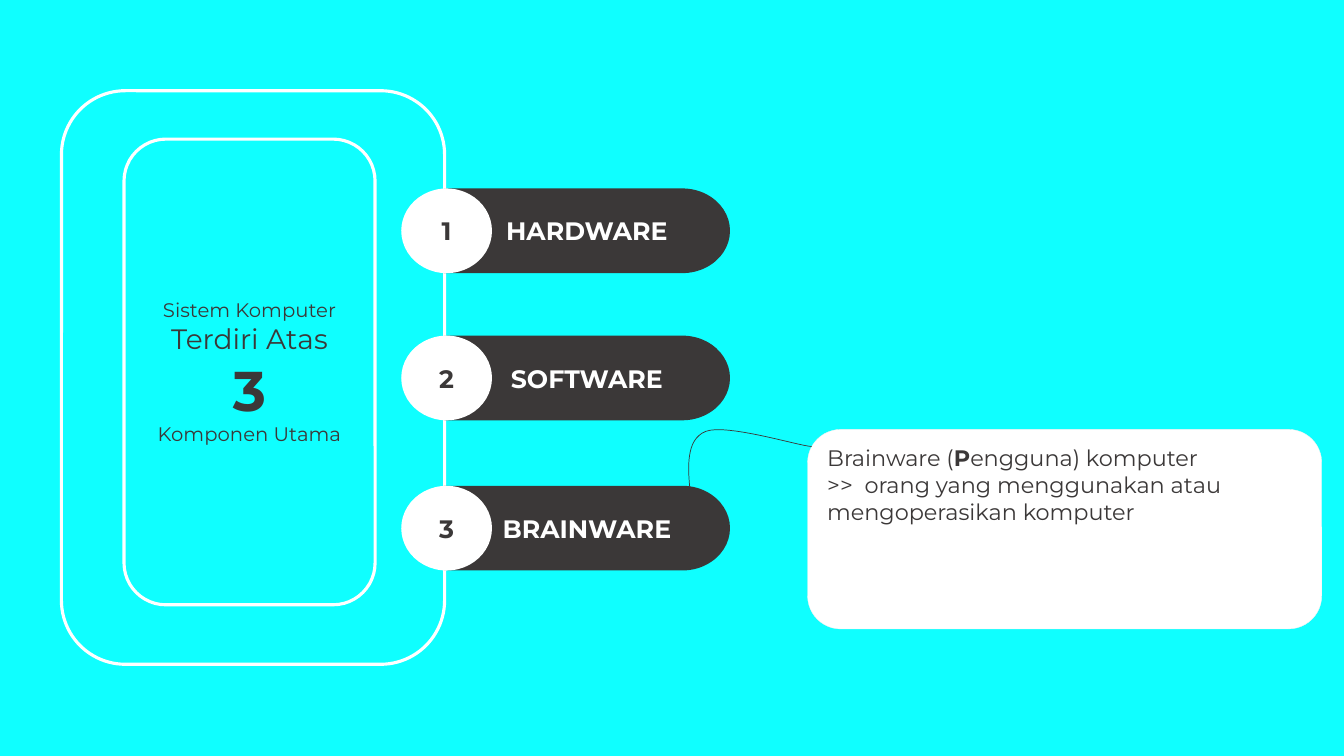
from pptx import Presentation
from pptx.dml.color import RGBColor
from pptx.enum.shapes import MSO_SHAPE as Preset
from pptx.enum.text import MSO_ANCHOR as Anchor, PP_ALIGN as Align
from pptx.util import Inches, Pt

COLORS = {
    "cyan": "0FFFFF",
    "dark": "3B3838",
    "white": "FFFFFF",
    "pale": "F2F2F2",
}


def rgb(name):
    """Return the named colour."""
    return RGBColor.from_string(COLORS[name])


class SlideBuilder:
    """Hold the style and the current slide."""

    font_name = "Montserrat"

    def __init__(self, slide):
        """Take a slide and colour its background."""
        self.slide = slide
        slide.background.fill.solid()
        slide.background.fill.fore_color.rgb = rgb("cyan")

    def set_line(self, shape, color=None, width=0):
        """Colour the outline, or remove it."""
        if color:
            shape.line.color.rgb = rgb(color)
            shape.line.width = Pt(width)
        else:
            shape.line.fill.background()

    def add_shape(self, preset, box, fill, line=None, width=0):
        """Add a filled preset shape."""
        shape = self.slide.shapes.add_shape(preset, *map(Inches, box))
        shape.shadow.inherit = False
        shape.fill.solid()
        shape.fill.fore_color.rgb = rgb(fill)
        self.set_line(shape, line, width)
        return shape

    def add_text(self, shape, lines, color="dark", align=Align.CENTER, anchor=Anchor.MIDDLE):
        """Write lines of (runs, size, bold); a bold of None marks odd runs bold."""
        frame = shape.text_frame
        frame.word_wrap = True
        frame.vertical_anchor = anchor
        for index, (runs, size, bold) in enumerate(lines):
            paragraph = frame.add_paragraph() if index else frame.paragraphs[0]
            paragraph.alignment = align
            font = paragraph.font
            font.name, font.size, font.bold = self.font_name, Pt(size), bold
            font.color.rgb = rgb(color)
            for position, text in enumerate(runs):
                run = paragraph.add_run()
                run.text = text
                if bold is None:
                    run.font.bold = position % 2 == 1

    def add_component(self, number, label, top):
        """Add a dark bar with its numbered circle."""
        bar = self.add_shape(Preset.FLOWCHART_STORED_DATA, (4.4, top, 2.84, 0.84), "dark")
        bar.rotation = 180
        bar._element.spPr.xfrm.set("flipV", "1")
        self.add_text(bar, [([label], 18, True)], "white")
        circle = self.add_shape(Preset.OVAL, (3.98, top, 0.9, 0.84), "white")
        self.add_text(circle, [([str(number)], 18, True)])

    def add_curve(self, start, segments, color, width, steps=16):
        """Draw a smooth open line through cubic segments."""
        points = []
        current = start
        for first, second, end in segments:
            for step in range(1, steps + 1):
                t = step / steps
                weights = ((1 - t) ** 3, 3 * t * (1 - t) ** 2, 3 * t**2 * (1 - t), t**3)
                corners = zip(current, first, second, end)
                points.append([Inches(sum(w * c for w, c in zip(weights, axis))) for axis in corners])
            current = end
        builder = self.slide.shapes.build_freeform(*map(Inches, start))
        builder.add_line_segments(points, close=False)
        curve = builder.convert_to_shape()
        curve.shadow.inherit = False
        curve.fill.background()
        self.set_line(curve, color, width)


def main():
    """Build and save the slide."""
    presentation = Presentation()
    presentation.slide_width, presentation.slide_height = Inches(13.33), Inches(7.5)
    builder = SlideBuilder(presentation.slides.add_slide(presentation.slide_layouts[6]))

    builder.add_shape(Preset.ROUNDED_RECTANGLE, (0.61, 0.9, 3.8, 5.69), "cyan", "white", 2.25)
    components = [("HARDWARE", 1.87), ("SOFTWARE", 3.33), ("BRAINWARE", 4.82)]
    for number, (label, top) in enumerate(components, 1):
        builder.add_component(number, label, top)

    panel = builder.add_shape(
        Preset.ROUNDED_RECTANGLE, (1.23, 1.38, 2.49, 4.62), "cyan", "white", 2.25
    )
    builder.add_text(panel, [
        (["Sistem Komputer"], 14, False),
        (["Terdiri Atas"], 20, False),
        (["3"], 40, True),
        (["Komponen Utama"], 14, False),
    ])

    note = builder.add_shape(
        Preset.ROUNDED_RECTANGLE, (8.01, 4.26, 5.1, 1.98), "white", "pale", 0.25
    )
    builder.add_text(note, [
        (["Brainware (", "P", "engguna) komputer"], 16, None),
        ([">>  orang yang menggunakan atau mengoperasikan komputer"], 16, False),
    ], align=Align.LEFT, anchor=Anchor.TOP)

    builder.add_curve((6.85, 4.92), [
        ((6.82, 4.64), (6.8, 4.36), (7, 4.28)),
        ((7.2, 4.2), (7.91, 4.42), (8.05, 4.43)),
    ], "dark", 0.5)

    presentation.save("out.pptx")


if __name__ == "__main__":
    main()
